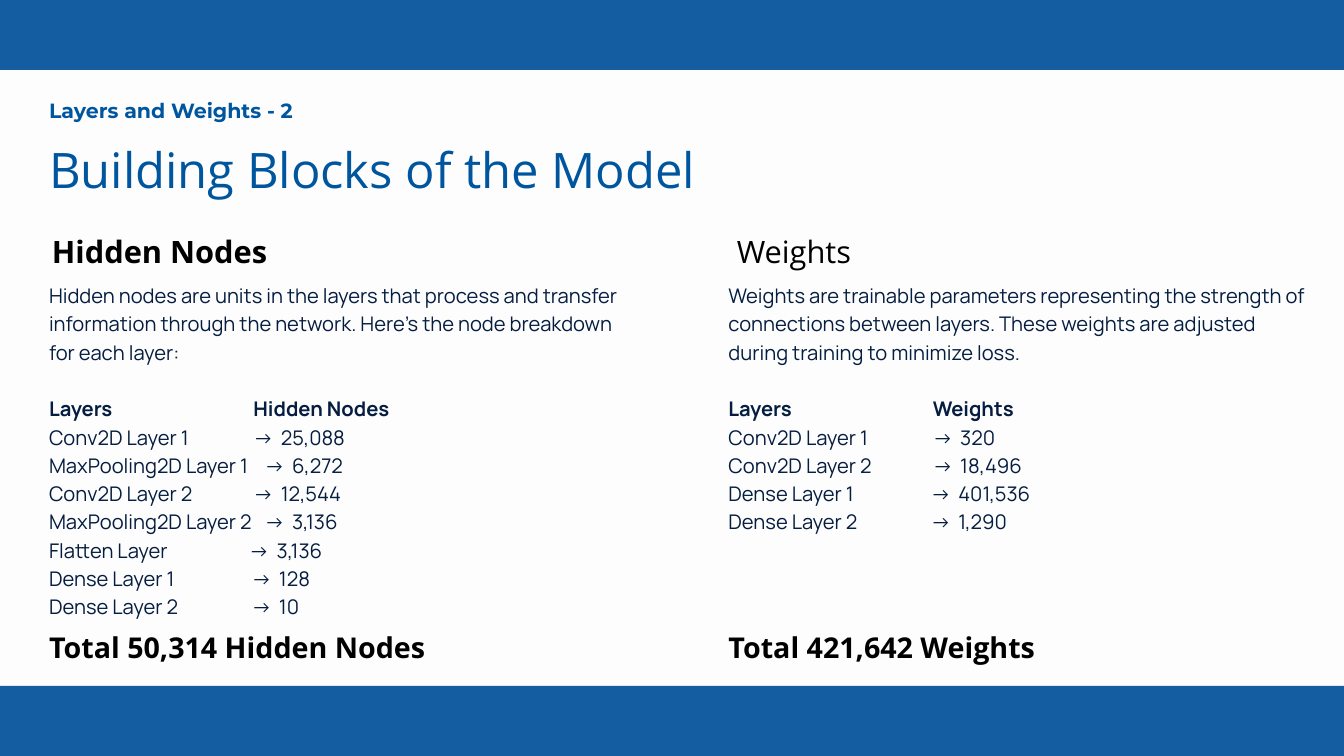
import lxml.etree
import pptx
import pptx.dml.color
import pptx.enum.shapes
import pptx.enum.text
import pptx.oxml.ns
import pptx.util

Pt = pptx.util.Pt
RGBColor = pptx.dml.color.RGBColor
PP_ALIGN = pptx.enum.text.PP_ALIGN

BACKGROUND = RGBColor(0xFD, 0xFD, 0xFD)
BAND = RGBColor(0x14, 0x5D, 0xA0)
TITLE = RGBColor(0x00, 0x56, 0x9E)
BODY = RGBColor(0x05, 0x1D, 0x40)
BLACK = RGBColor(0x00, 0x00, 0x00)

WIDTH, HEIGHT = 1440, 810
BAND_HEIGHT = 75
SIDE_BLEED, TOP_BLEED = 139, 64
MARGIN = 52.56
LINE = 30.3
HEADER_TAB, VALUE_GAP = 219, 29.3
ARROW_TABS = {"Conv2D": 219, "MaxPooling2D": 231, "Flatten": 214.5, "Dense": 217}

KICKER_FONT = {"name": "Montserrat", "size": Pt(22), "bold": True}
TITLE_FONT = {"name": "Open Sans", "size": Pt(52.4), "bold": False}
HEADING_FONT = {"name": "Open Sans", "size": Pt(33)}
TOTAL_FONT = {"name": "Open Sans", "size": Pt(30.7), "bold": True}
BODY_FONT = {"name": "Manrope", "size": Pt(21.6)}

COLUMNS = [
    {
        "left": MARGIN, "heading": "Hidden Nodes", "heading_width": 237, "bold": True,
        "intro": "Hidden nodes are units in the layers that process and transfer "
                 "information through the network. Here's the node breakdown for each layer:",
        "rows": [("Conv2D Layer 1", "25,088"), ("MaxPooling2D Layer 1", "6,272"),
                 ("Conv2D Layer 2", "12,544"), ("MaxPooling2D Layer 2", "3,136"),
                 ("Flatten Layer", "3,136"), ("Dense Layer 1", "128"), ("Dense Layer 2", "10")],
        "total": "Total 50,314 Hidden Nodes",
    },
    {
        "left": 780.48, "heading": "Weights", "heading_width": 140.4, "bold": False,
        "intro": "Weights are trainable parameters representing the strength of "
                 "connections between layers. These weights are adjusted during "
                 "training to minimize loss.",
        "rows": [("Conv2D Layer 1", "320"), ("Conv2D Layer 2", "18,496"),
                 ("Dense Layer 1", "401,536"), ("Dense Layer 2", "1,290")],
        "total": "Total 421,642 Weights",
    },
]


def add_box(s, left, top, width, height):
    tf = s.shapes.add_textbox(Pt(left), Pt(top), Pt(width), Pt(height)).text_frame
    tf.word_wrap = True
    for side in ("left", "top", "right", "bottom"):
        setattr(tf, f"margin_{side}", 0)
    return tf


def write(p, text, font, color, spacing):
    p.line_spacing = Pt(spacing)
    r = p.add_run()
    r.text = text
    for name, value in font.items():
        setattr(r.font, name, value)
    r.font.color.rgb = color


def add_tabs(p, *stops):
    tabs = lxml.etree.SubElement(p._p.get_or_add_pPr(), pptx.oxml.ns.qn("a:tabLst"))
    for stop in stops:
        lxml.etree.SubElement(tabs, pptx.oxml.ns.qn("a:tab"), pos=str(Pt(stop)), algn="l")


def add_band(s, top, height):
    """Add a full-width band that bleeds over the side edges."""
    sp = s.shapes.add_shape(pptx.enum.shapes.MSO_SHAPE.RECTANGLE, Pt(-SIDE_BLEED), Pt(top),
                            Pt(WIDTH + 2 * SIDE_BLEED), Pt(height))
    sp.shadow.inherit = False
    sp.fill.solid()
    sp.fill.fore_color.rgb = BAND
    sp.line.fill.background()


def add_title(s, left, top, width):
    tf = add_box(s, left, top, width, 29.5)
    write(tf.paragraphs[0], "Layers and Weights - 2", KICKER_FONT, TITLE, 30.8)
    tf = add_box(s, left, top + 38.2, width, 70)
    write(tf.paragraphs[0], "Building Blocks of the Model", TITLE_FONT, TITLE, 73.4)


def add_column(s, column, top, width):
    left = column["left"]
    tf = add_box(s, left, top, column["heading_width"], 44.6)
    p = tf.paragraphs[0]
    p.alignment = PP_ALIGN.CENTER
    write(p, column["heading"], {**HEADING_FONT, "bold": column["bold"]}, BLACK, 46.2)

    rows = column["rows"]
    tf = add_box(s, left, top + 56.7, width, LINE * (len(rows) + 5))
    write(tf.paragraphs[0], column["intro"], BODY_FONT, BODY, LINE)
    p = tf.add_paragraph()
    add_tabs(p, HEADER_TAB)
    p.space_before = Pt(LINE)
    write(p, f"Layers\t{column['heading']}", {**BODY_FONT, "bold": True}, BODY, LINE)
    for layer, count in rows:
        p = tf.add_paragraph()
        stop = ARROW_TABS[layer.split()[0]]
        add_tabs(p, stop, stop + VALUE_GAP)
        write(p, f"{layer}\t->\t{count}", BODY_FONT, BODY, LINE)

    tf = add_box(s, left, top + 426.2, 519, 41.8)
    write(tf.paragraphs[0], column["total"], TOTAL_FONT, BLACK, 43)


def main():
    prs = pptx.Presentation()
    prs.slide_width, prs.slide_height = Pt(WIDTH), Pt(HEIGHT)
    s = prs.slides.add_slide(prs.slide_layouts[6])
    s.background.fill.solid()
    s.background.fill.fore_color.rgb = BACKGROUND
    add_band(s, HEIGHT - BAND_HEIGHT, BAND_HEIGHT)
    add_band(s, -TOP_BLEED, TOP_BLEED + BAND_HEIGHT)
    add_title(s, MARGIN, 100.8, 870)
    for column in COLUMNS:
        add_column(s, column, 242.7, 633)
    prs.save("out.pptx")


if __name__ == "__main__":
    main()
